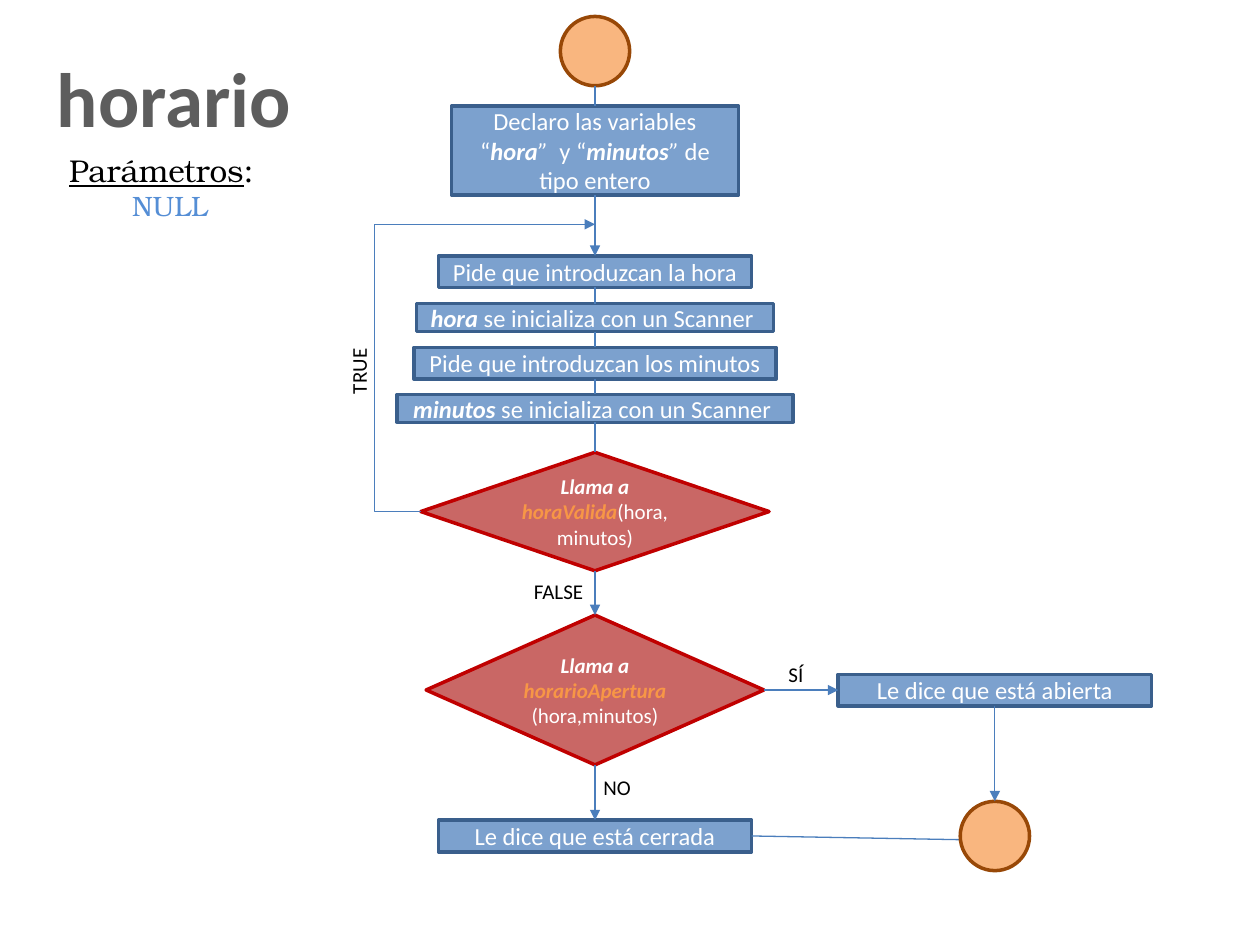
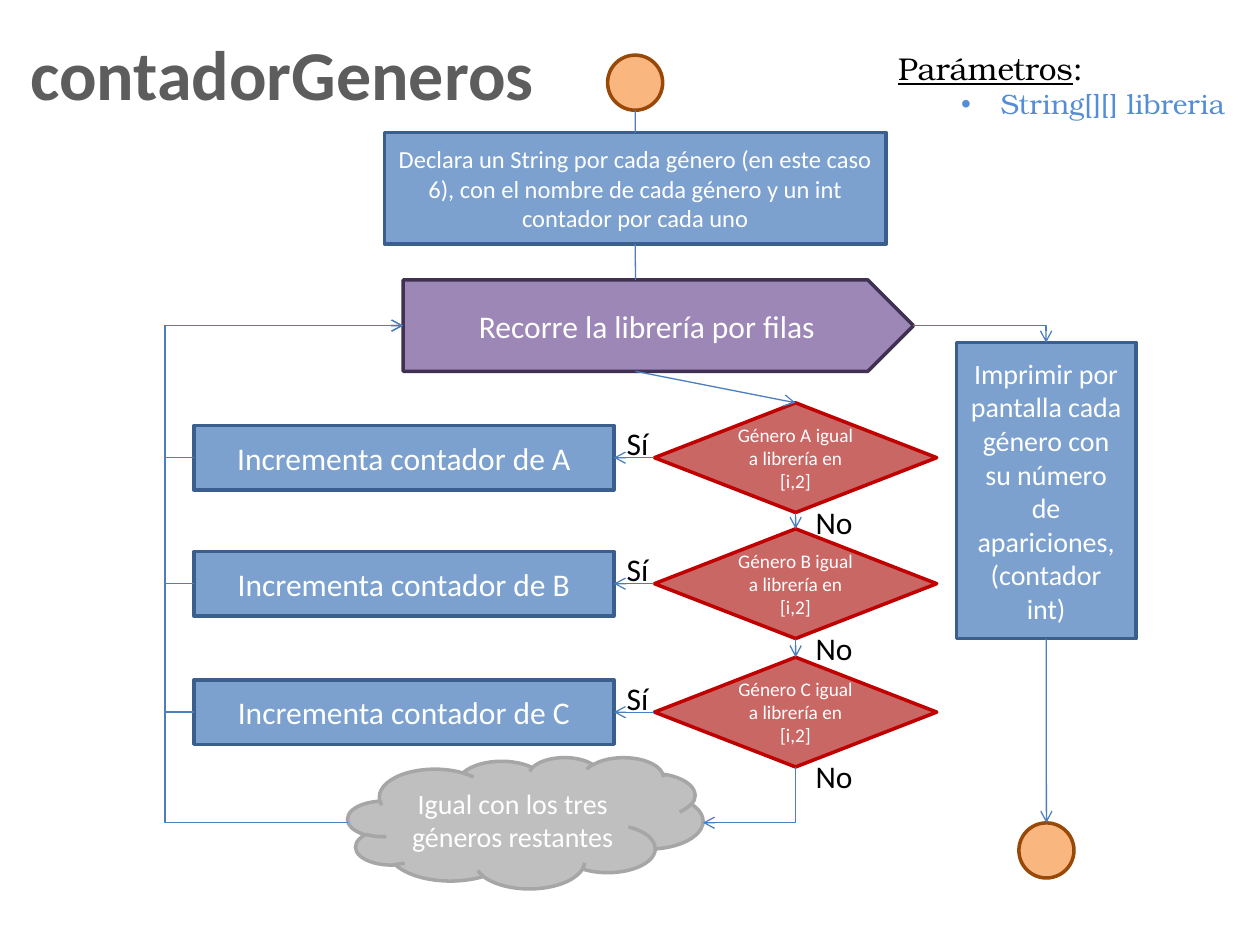
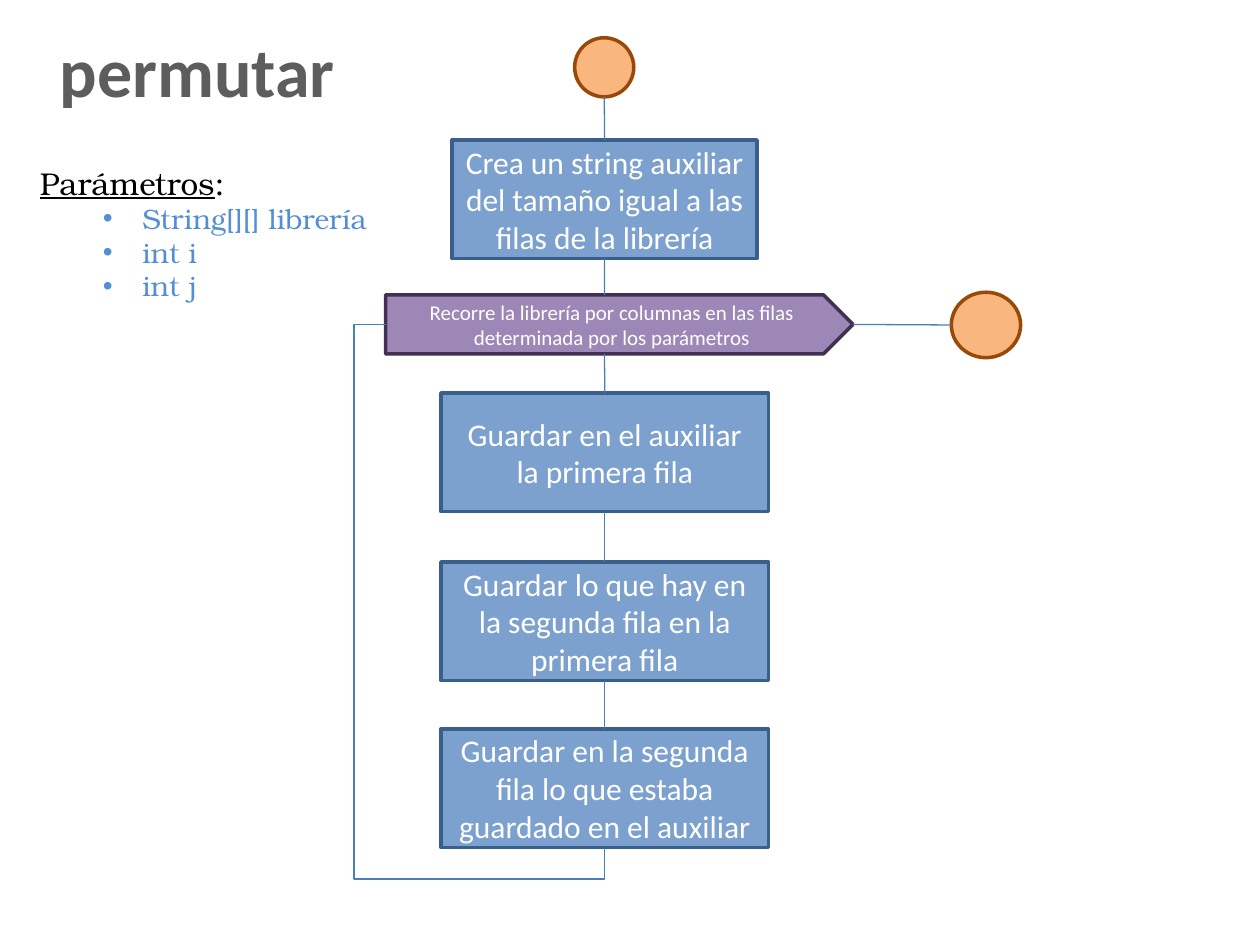
from lxml.etree import SubElement
from pptx import Presentation
from pptx.dml.color import RGBColor
from pptx.enum.shapes import MSO_CONNECTOR, MSO_SHAPE
from pptx.enum.text import MSO_ANCHOR, MSO_AUTO_SIZE, PP_ALIGN
from pptx.oxml.ns import qn
from pptx.util import Pt

WHITE = RGBColor(0xFF, 0xFF, 0xFF)
BLACK = RGBColor(0x00, 0x00, 0x00)
GREY = RGBColor(0x5D, 0x5D, 0x5D)
BLUE = RGBColor(0x7C, 0xA1, 0xCE)
NAVY = RGBColor(0x3A, 0x5F, 0x8C)
SKY = RGBColor(0x55, 0x8E, 0xD5)
WIRE = RGBColor(0x4B, 0x7E, 0xBC)
PEACH = RGBColor(0xF9, 0xB6, 0x7F)
BROWN = RGBColor(0x98, 0x48, 0x07)
ROSE = RGBColor(0xC9, 0x67, 0x65)
RED = RGBColor(0xC0, 0x00, 0x00)
GOLD = RGBColor(0xF7, 0x96, 0x46)
LILAC = RGBColor(0x9D, 0x87, 0xB7)
PLUM = RGBColor(0x40, 0x31, 0x52)
MIST = RGBColor(0xBF, 0xBF, 0xBF)
SMOKE = RGBColor(0xA6, 0xA6, 0xA6)

SANS = "Calibri"
SERIF = "TeX Gyre Bonum"
TOP, LEFT, BOTTOM, RIGHT = range(4)

STEP = MSO_SHAPE.FLOWCHART_PROCESS
TEST = MSO_SHAPE.FLOWCHART_DECISION
DOT = MSO_SHAPE.FLOWCHART_CONNECTOR
LOOP = MSO_SHAPE.PENTAGON
CLOUD = MSO_SHAPE.CLOUD
PAINT = {
    STEP: (BLUE, NAVY),
    TEST: (ROSE, RED),
    DOT: (PEACH, BROWN),
    LOOP: (LILAC, PLUM),
    CLOUD: (MIST, SMOKE),
}
STRONG = {"bold": True, "italic": True}


def write(para, text, size=14, color=WHITE, face=SANS, bold=False,
          italic=False, line=False):
    run = para.add_run()
    run.text = text
    font = run.font
    font.size, font.name = Pt(size), face
    font.bold, font.italic, font.underline = bold, italic, line
    font.color.rgb = color


def add_title(slide, text, x, y, w, h, size=40):
    title = slide.shapes.title
    title.left, title.top, title.width, title.height = map(Pt, (x, y, w, h))
    frame = title.text_frame
    frame.auto_size = MSO_AUTO_SIZE.NONE
    frame.word_wrap = True
    frame.vertical_anchor = MSO_ANCHOR.TOP
    para = frame.paragraphs[0]
    para.alignment = PP_ALIGN.CENTER
    write(para, text, size=size, color=GREY, bold=True)


def add_node(slide, kind, x, y, w, h, *runs, size=14):
    node = slide.shapes.add_shape(kind, Pt(x), Pt(y), Pt(w), Pt(h))
    node.shadow.inherit = False
    fill, edge = PAINT[kind]
    node.fill.solid()
    node.fill.fore_color.rgb = fill
    node.line.color.rgb = edge
    node.line.width = Pt(2)
    frame = node.text_frame
    frame.word_wrap = True
    frame.vertical_anchor = MSO_ANCHOR.MIDDLE
    para = frame.paragraphs[0]
    para.alignment = PP_ALIGN.CENTER
    for run in runs:
        text, style = (run, {}) if isinstance(run, str) else run
        write(para, text, size=size, **style)
    return node


def add_box(slide, x, y, w, h):
    box = slide.shapes.add_textbox(Pt(x), Pt(y), Pt(w), Pt(h))
    box.text_frame.word_wrap = True
    return box


def add_label(slide, text, x, y, w, h, size=12, turn=0):
    box = add_box(slide, x, y, w, h)
    box.rotation = turn
    write(box.text_frame.paragraphs[0], text, size=size, color=BLACK)


def add_params(slide, x, y, w, h, *names, bullet=True):
    frame = add_box(slide, x, y, w, h).text_frame
    head = frame.paragraphs[0]
    write(head, "Parámetros", size=18, color=BLACK, face=SERIF, line=True)
    write(head, ":", size=18, color=BLACK, face=SERIF)
    for name in names:
        para = frame.add_paragraph()
        para.level = 1
        props = para._p.get_or_add_pPr()
        props.set("marL", str(Pt(58.5 if bullet else 36)))
        props.set("indent", str(Pt(-22.5 if bullet else 0)))
        if bullet:
            SubElement(props, qn("a:buFont")).set("typeface", "Arial")
            SubElement(props, qn("a:buChar")).set("char", "•")
        write(para, name, size=16, color=SKY, face=SERIF)


def find_spot(node, side):
    if isinstance(node, (int, float)):
        return Pt(node), Pt(side)
    mid = node.width // 2
    if node.auto_shape_type == LOOP:
        mid -= node.height // 4
    across = (mid, 0, mid, node.width)[side]
    down = (0, node.height // 2, node.height, node.height // 2)[side]
    return node.left + across, node.top + down


def join(wire, name, node, side):
    if isinstance(node, (int, float)) or node.auto_shape_type == DOT:
        return
    site = 3 - side if node.auto_shape_type == CLOUD else side
    x, y = find_spot(node, side)
    if name == "begin":
        wire.begin_connect(node, site)
        wire.begin_x, wire.begin_y = x, y
    else:
        wire.end_connect(node, site)
        wire.end_x, wire.end_y = x, y


def link(slide, start, end, head=None, tail=None, bend=None, via=()):
    kind = MSO_CONNECTOR.ELBOW if bend else MSO_CONNECTOR.STRAIGHT
    first, last = find_spot(*start), find_spot(*end)
    wire = slide.shapes.add_connector(kind, *first, *last)
    join(wire, "begin", *start)
    join(wire, "end", *end)
    wire.line.color.rgb = WIRE
    wire.line.width = Pt(0.75)
    props = wire._element.spPr
    for tag, arrow in (("a:headEnd", head), ("a:tailEnd", tail)):
        if arrow:
            SubElement(props.find(qn("a:ln")), qn(tag)).set("type", arrow)
    SubElement(props, qn("a:effectLst"))
    if bend:
        shape = props.find(qn("a:prstGeom"))
        shape.set("prst", f"bentConnector{bend}")
        guides = shape.find(qn("a:avLst"))
        if guides is None:
            guides = SubElement(shape, qn("a:avLst"))
        for i, stop in enumerate(via):
            part = (Pt(stop) - first[i]) / (last[i] - first[i])
            guide = SubElement(guides, qn("a:gd"))
            guide.set("name", f"adj{i + 1}" )
            guide.set("fmla", f"val {round(part * 100000)}")


def draw_hours(slide):
    mid = 340
    add_title(slide, "horario", 24.5, 25.2, 150, 60.5, size=44)
    add_params(slide, 32.4, 82.8, 130, 48, "NULL", bullet=False)

    def stack(kind, y, w, h, *runs, size=14):
        return add_node(slide, kind, mid - w / 2, y, w, h, *runs, size=size)

    start = stack(DOT, 9.4, 39.6, 39.6)
    declare = stack(STEP, 60.5, 164, 51, "Declaro las variables “",
                    ("hora", STRONG), ("”  ", {"italic": True}), "y “",
                    ("minutos", STRONG), ("” ", {"italic": True}),
                    "de tipo entero")
    hour = stack(STEP, 146.2, 179, 18, "Pide que introduzcan la hora")
    scan = stack(STEP, 173.5, 204, 16, ("hora", STRONG),
                 " se inicializa con un Scanner ")
    minute = stack(STEP, 198.5, 207, 18, "Pide que introduzcan los minutos")
    read = stack(STEP, 225.4, 226, 16, ("minutos", STRONG),
                 " se inicializa con un Scanner ")
    name = {"color": GOLD, **STRONG}
    valid = stack(TEST, 258.5, 199, 67.7, ("Llama a ", STRONG),
                  ("horaValida", name), "(hora,minutos)", size=12)
    check = stack(TEST, 351.5, 193, 85.6, ("Llama a ", STRONG),
                  ("horarioApertura", name), "(hora,minutos)", size=12)
    shut = stack(STEP, 468.7, 179, 18, "Le dice que está cerrada")
    opened = add_node(slide, STEP, 479, 385.3, 179, 18,
                      "Le dice que está abierta")

    chain = [start, declare, hour, scan, minute, read, valid, check, shut]
    for above, below in zip(chain, chain[1:]):
        tail = "triangle" if below in (hour, check, shut) else None
        link(slide, (above, BOTTOM), (below, TOP), tail=tail)
    link(slide, (valid, LEFT), (mid, 128.2), tail="triangle", bend=3,
         via=(214,))
    link(slide, (check, RIGHT), (opened, LEFT), tail="triangle")
    link(slide, (shut, RIGHT), (568.5, 480.2), tail="triangle")
    finish = add_node(slide, DOT, 548.7, 457.9, 39.6, 39.6)
    link(slide, (opened, BOTTOM), (finish, TOP), tail="triangle")

    add_label(slide, "TRUE", 182.9, 199.4, 44, 21.6, turn=270)
    add_label(slide, "FALSE", 298, 326.9, 46, 21.6)
    add_label(slide, "NO", 337.7, 439.2, 44, 21.6)
    add_label(slide, "SÍ", 443.5, 374.4, 44, 21.6)


def draw_genres(slide):
    add_title(slide, "contadorGeneros", 6.6, 13.7, 309, 55.4)
    add_params(slide, 506.2, 24.5, 208, 48, "String[][] libreria")
    start = add_node(slide, DOT, 347.2, 31.5, 31.5, 31.5)
    declare = add_node(
        slide, STEP, 219.7, 75.8, 286.6, 63.6,
        "Declara un String por cada género (en este caso 6), con el nombre "
        "de cada género y un int contador por cada uno")
    rows = add_node(slide, LOOP, 230.4, 160, 291.6, 52.2,
                    "Recorre la librería por filas", size=18)
    show = add_node(
        slide, STEP, 546.5, 195.8, 102.6, 169.2,
        "Imprimir por pantalla cada género con su número de apariciones, "
        "(contador int)", size=16)
    finish = add_node(slide, DOT, 582.2, 470.2, 31.5, 31.5)
    rest = add_node(slide, CLOUD, 198.7, 432.7, 203, 75,
                    "Igual con los tres géneros restantes", size=16)

    link(slide, (start, BOTTOM), (declare, TOP))
    link(slide, (declare, BOTTOM), (rows, TOP))
    link(slide, (rows, RIGHT), (show, TOP), tail="arrow", bend=2)
    link(slide, (show, BOTTOM), (finish, TOP), tail="arrow")

    above = rows
    for letter, y in (("A", 243.2), ("B", 315.2), ("C", 388.6)):
        count = add_node(slide, STEP, 110.8, y, 240, 36.7,
                         f"Incrementa contador de {letter}", size=18)
        test = add_node(slide, TEST, 374, y - 13, 161.3, 62.7,
                        f"Género {letter} igual a librería en [i,2]", size=11)
        link(slide, (above, BOTTOM), (test, TOP), tail="arrow")
        link(slide, (test, LEFT), (count, RIGHT), tail="arrow")
        link(slide, (count, LEFT), (rows, LEFT), bend=3, via=(94.3,),
             tail="arrow" if letter == "C" else None)
        add_label(slide, "Sí", 351, y - 4.2, 36, 28.8, size=18)
        add_label(slide, "No", 459, y + 40.6, 40, 26.6, size=18)
        above = test
    link(slide, (rest, LEFT), (rows, LEFT), tail="arrow", bend=3, via=(94.3,))
    link(slide, (rest, RIGHT), (above, BOTTOM), head="arrow", bend=2)


def draw_swap(slide):
    add_title(slide, "permutar", 6.5, 12.2, 212.4, 55.4)
    add_params(slide, 15.8, 90, 208, 87,
               "String[][] librería", "int i", "int j")
    start = add_node(slide, DOT, 328.4, 21.6, 33.8, 33.8)
    create = add_node(
        slide, STEP, 258.4, 80, 174.2, 67.8,
        "Crea un string auxiliar del tamaño igual a las filas de la librería",
        size=18)
    rows = add_node(
        slide, LOOP, 220.4, 168.5, 267, 33.8,
        "Recorre la librería por columnas en las filas determinada por los "
        "parámetros", size=12)
    finish = add_node(slide, DOT, 543.6, 167, 39.6, 37.4)
    chain = [start, create, rows]
    for y, text in (
        (224.6, "Guardar en el auxiliar la primera fila"),
        (321.2, "Guardar lo que hay en la segunda fila en la primera fila"),
        (416.5, "Guardar en la segunda fila lo que estaba guardado en el "
                "auxiliar"),
    ):
        chain.append(add_node(slide, STEP, 252, y, 187.2, 67.8, text, size=18))
    for above, below in zip(chain, chain[1:]):
        link(slide, (above, BOTTOM), (below, TOP))
    link(slide, (rows, RIGHT), (finish, LEFT))
    link(slide, (rows, LEFT), (chain[-1], BOTTOM), bend=4, via=(202.3, 502.3))


def main():
    deck = Presentation()
    deck.slide_width, deck.slide_height = Pt(720), Pt(540)
    for draw in (draw_hours, draw_genres, draw_swap):
        draw(deck.slides.add_slide(deck.slide_layouts[5]))
    deck.save("out.pptx")


if __name__ == "__main__":
    main()
